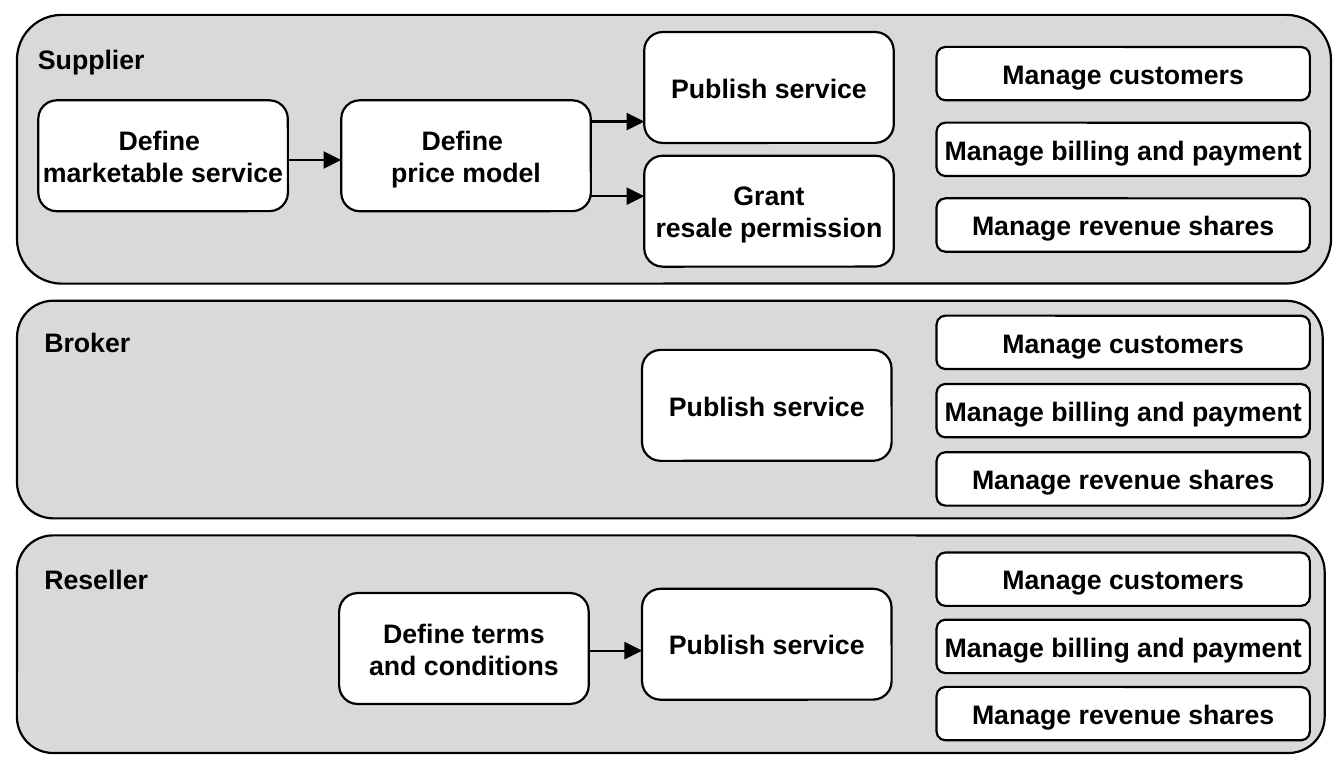
"""Build the swimlane slide of supplier, broker and reseller tasks."""
from collections import namedtuple

from lxml import etree
from pptx import Presentation
from pptx.dml.color import RGBColor
from pptx.enum.shapes import MSO_CONNECTOR, MSO_SHAPE
from pptx.enum.text import MSO_ANCHOR, PP_ALIGN
from pptx.oxml.ns import qn
from pptx.util import Inches, Pt

ROUNDED, STRAIGHT = MSO_SHAPE.ROUNDED_RECTANGLE, MSO_CONNECTOR.STRAIGHT
MIDDLE, TOP = MSO_ANCHOR.MIDDLE, MSO_ANCHOR.TOP
CENTER, LEFT = PP_ALIGN.CENTER, PP_ALIGN.LEFT

Theme = namedtuple("Theme", "font size stroke ink lane card")
theme = Theme("Arial", Pt(9), Pt(0.75), RGBColor(0, 0, 0),
              RGBColor(0xD9, 0xD9, 0xD9), RGBColor(255, 255, 255))

LANE_LEFT = 0.08
STEP_LEFT, STEP_PITCH, STEP_W, STEP_H = 0.18, 1.42, 1.17, 0.52
TASK_LEFT, TASK_W, TASK_H = 4.39, 1.75, 0.25
TASKS = ["Manage customers", "Manage billing and payment", "Manage revenue shares"]

Lane = namedtuple("Lane", "name top width height label shift steps arrows tasks")
lanes = [
    Lane("Supplier", 0.07, 6.16, 1.26, (0.08, 0.15), 0,
         [("Define \nmarketable service", 0, 0.47), ("Define \nprice model", 1, 0.47),
          ("Publish service", 2, 0.15), ("Grant\nresale permission", 2, 0.73)],
         [(0, 0.75), (1, 0.57), (1, 0.92)], (0.22, 0.93)),
    Lane("Broker", 1.41, 6.12, 1.02, (0.11, 1.48), -0.01,
         [("Publish service", 2, 1.64)], [], (1.48, 2.12)),
    Lane("Reseller", 2.51, 6.13, 1.02, (0.11, 2.59), -0.01,
         [("Define terms\nand conditions", 1, 2.78), ("Publish service", 2, 2.76)],
         [(1, 3.05)], (2.59, 3.22)),
]

prs = Presentation()
prs.slide_width, prs.slide_height = Inches(6.3), Inches(3.6)
s = prs.slides.add_slide(prs.slide_layouts[6])


def write(sp, text, align, anchor):
    """Set unwrapped bold text, one run per line."""
    tf = sp.text_frame
    tf.word_wrap = False
    tf.vertical_anchor = anchor
    p = tf.paragraphs[0]
    p.alignment = align
    for i, line in enumerate(text.split("\n")):
        if i:
            p.add_line_break()
        r = p.add_run()
        r.text = line
        r.font.name, r.font.size, r.font.bold = theme.font, theme.size, True
        r.font.color.rgb = theme.ink


def add_box(left, top, width, height, fill, text=""):
    """Add an outlined rounded box with optional centred text."""
    sp = s.shapes.add_shape(ROUNDED, *map(Inches, (left, top, width, height)))
    sp.shadow.inherit = False
    sp.fill.solid()
    sp.fill.fore_color.rgb = fill
    sp.line.color.rgb, sp.line.width = theme.ink, theme.stroke
    if text:
        write(sp, text, CENTER, MIDDLE)


for lane in lanes:
    add_box(LANE_LEFT, lane.top, lane.width, lane.height, theme.lane)
    label = s.shapes.add_textbox(*map(Inches, (*lane.label, 0.7, 0.25)))
    write(label, lane.name, LEFT, TOP)

    first_left = STEP_LEFT + lane.shift
    for text, col, top in lane.steps:
        add_box(first_left + col * STEP_PITCH, top, STEP_W, STEP_H, theme.card, text)

    for col, y in lane.arrows:
        start = first_left + col * STEP_PITCH + STEP_W
        end = first_left + (col + 1) * STEP_PITCH
        cx = s.shapes.add_connector(STRAIGHT, *map(Inches, (start, y, end, y)))
        cx.line.color.rgb, cx.line.width = theme.ink, theme.stroke
        etree.SubElement(cx.line._get_or_add_ln(), qn("a:tailEnd"), type="triangle")
        etree.SubElement(cx._element.spPr, qn("a:effectLst"))

    first, last = lane.tasks
    pitch = (last - first) / (len(TASKS) - 1)
    for i, task in enumerate(TASKS):
        add_box(TASK_LEFT, first + i * pitch, TASK_W, TASK_H, theme.card, task)

prs.save("out.pptx")
